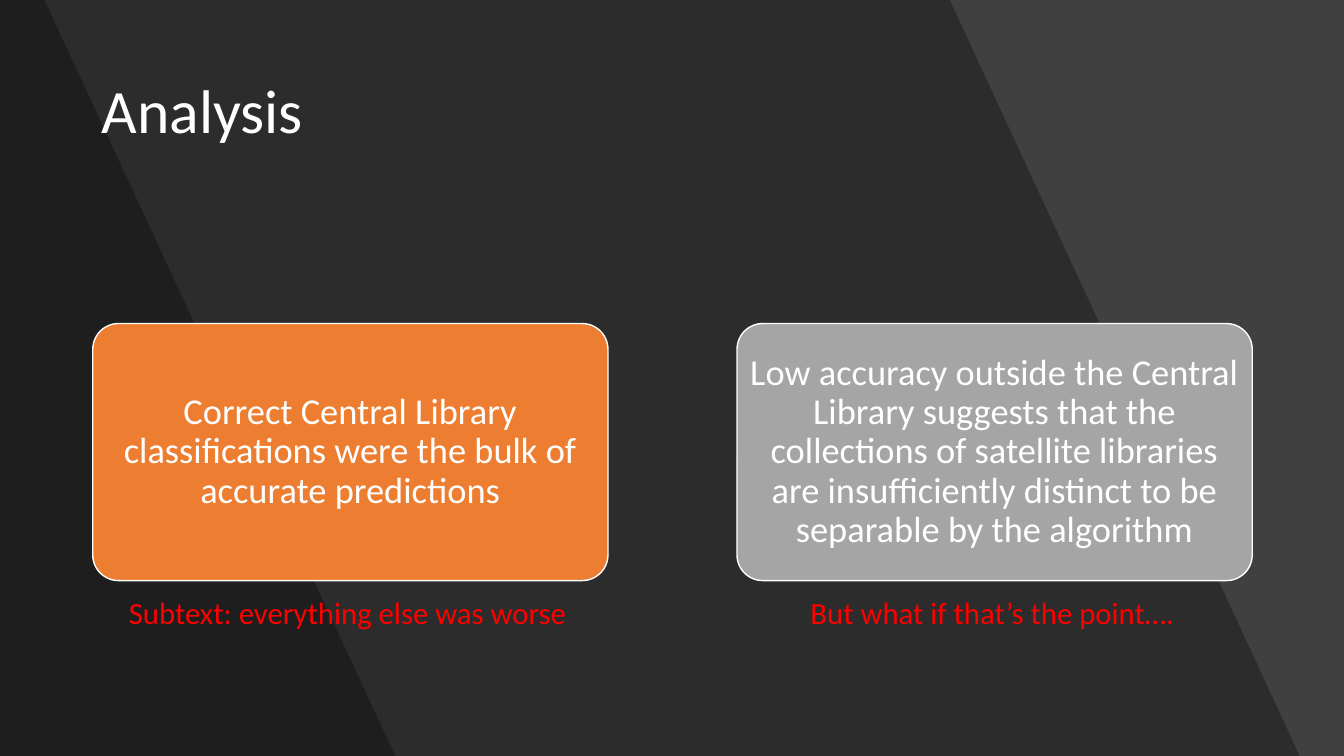
from lxml import etree
from pptx import Presentation
from pptx.dml.color import RGBColor
from pptx.enum import shapes, text
from pptx.oxml.ns import qn
from pptx.util import Inches, Pt

CHARCOAL = RGBColor(0x40, 0x40, 0x40)
BLACK = RGBColor(0, 0, 0)
WHITE = RGBColor(0xFF, 0xFF, 0xFF)
ORANGE = RGBColor(0xED, 0x7D, 0x31)
GRAY = RGBColor(0xA5, 0xA5, 0xA5)
RED = RGBColor(0xFF, 0, 0)

SLIDE_WIDTH, SLIDE_HEIGHT = 13.33, 7.5
CARD_TOP, CARD_WIDTH, CARD_HEIGHT = 3.21, 5.11, 2.55
CAPTION_TOP, CAPTION_HEIGHT = 5.84, 0.47

BANDS = [(9.42, 12.89), (0.44, 3.92)]
FINDINGS = [
    (0.92, ORANGE,
     "Correct Central Library classifications were the bulk of accurate predictions",
     "Subtext: everything else was worse", 4.59),
    (7.31, GRAY,
     "Low accuracy outside the Central Library suggests that the collections of "
     "satellite libraries are insufficiently distinct to be separable by the algorithm",
     "But what if that’s the point….", 3.85),
]


class SlideBuilder:
    font_name = "Calibri"

    def __init__(self, slide):
        self.slide = slide
        fill = slide.background.fill
        fill.solid()
        fill.fore_color.rgb = CHARCOAL

    def set_text(self, frame, words, size, color, align, line_spacing=1.0):
        frame.text = words
        paragraph = frame.paragraphs[0]
        paragraph.alignment = align
        paragraph.line_spacing = line_spacing
        font = paragraph.font
        font.name, font.size = self.font_name, Pt(size)
        font.color.rgb = color

    def band(self, top_right, bottom_right, depth):
        """Shade the area left of a slanted edge, behind the other content."""
        outline = self.slide.shapes.build_freeform(0, 0)
        corners = [(top_right, 0), (bottom_right, SLIDE_HEIGHT), (0, SLIDE_HEIGHT)]
        outline.add_line_segments([(Inches(x), Inches(y)) for x, y in corners])
        shade = outline.convert_to_shape()
        shade.shadow.inherit = False
        shade.line.fill.background()
        shade.fill.solid()
        shade.fill.fore_color.rgb = BLACK
        color = shade.fill._xPr.find(".//" + qn("a:srgbClr"))
        etree.SubElement(color, qn("a:alpha"), val="30000")
        # The first two children of the tree are its own properties.
        self.slide.shapes._spTree.insert(2 + depth, shade._element)

    def title(self, words):
        heading = self.slide.shapes.title
        heading.left, heading.top = Inches(0.91), Inches(0.4)
        heading.width, heading.height = Inches(11.51), Inches(1.45)
        frame = heading.text_frame
        frame.auto_size = text.MSO_AUTO_SIZE.NONE
        frame.vertical_anchor = text.MSO_ANCHOR.MIDDLE
        self.set_text(frame, words, 44, WHITE, text.PP_ALIGN.LEFT, 0.9)

    def card(self, left, color, words):
        card = self.slide.shapes.add_shape(
            shapes.MSO_SHAPE.ROUNDED_RECTANGLE, Inches(left), Inches(CARD_TOP),
            Inches(CARD_WIDTH), Inches(CARD_HEIGHT))
        card.adjustments[0] = 0.1
        card.shadow.inherit = False
        card.fill.solid()
        card.fill.fore_color.rgb = color
        card.line.color.rgb = WHITE
        card.line.width = Pt(1)
        frame = card.text_frame
        frame.word_wrap = True
        frame.vertical_anchor = text.MSO_ANCHOR.MIDDLE
        frame.margin_left = frame.margin_right = Inches(0.05)
        frame.margin_top = frame.margin_bottom = Inches(0.04)
        self.set_text(frame, words, 26, WHITE, text.PP_ALIGN.CENTER, 0.9)

    def caption(self, card_left, width, words):
        """Centre a remark under the card that starts at card_left."""
        left = card_left + (CARD_WIDTH - width) / 2
        caption = self.slide.shapes.add_textbox(
            Inches(left), Inches(CAPTION_TOP), Inches(width), Inches(CAPTION_HEIGHT))
        frame = caption.text_frame
        frame.word_wrap = False
        frame.auto_size = text.MSO_AUTO_SIZE.SHAPE_TO_FIT_TEXT
        self.set_text(frame, words, 22, RED, text.PP_ALIGN.LEFT)


def main():
    deck = Presentation()
    deck.slide_width, deck.slide_height = Inches(SLIDE_WIDTH), Inches(SLIDE_HEIGHT)
    title_only = deck.slide_layouts[5]
    builder = SlideBuilder(deck.slides.add_slide(title_only))

    for depth, (top_right, bottom_right) in enumerate(BANDS):
        builder.band(top_right, bottom_right, depth)
    builder.title("Analysis")
    for left, color, finding, remark, remark_width in FINDINGS:
        builder.card(left, color, finding)
        builder.caption(left, remark_width, remark)

    deck.save("out.pptx")


if __name__ == "__main__":
    main()
